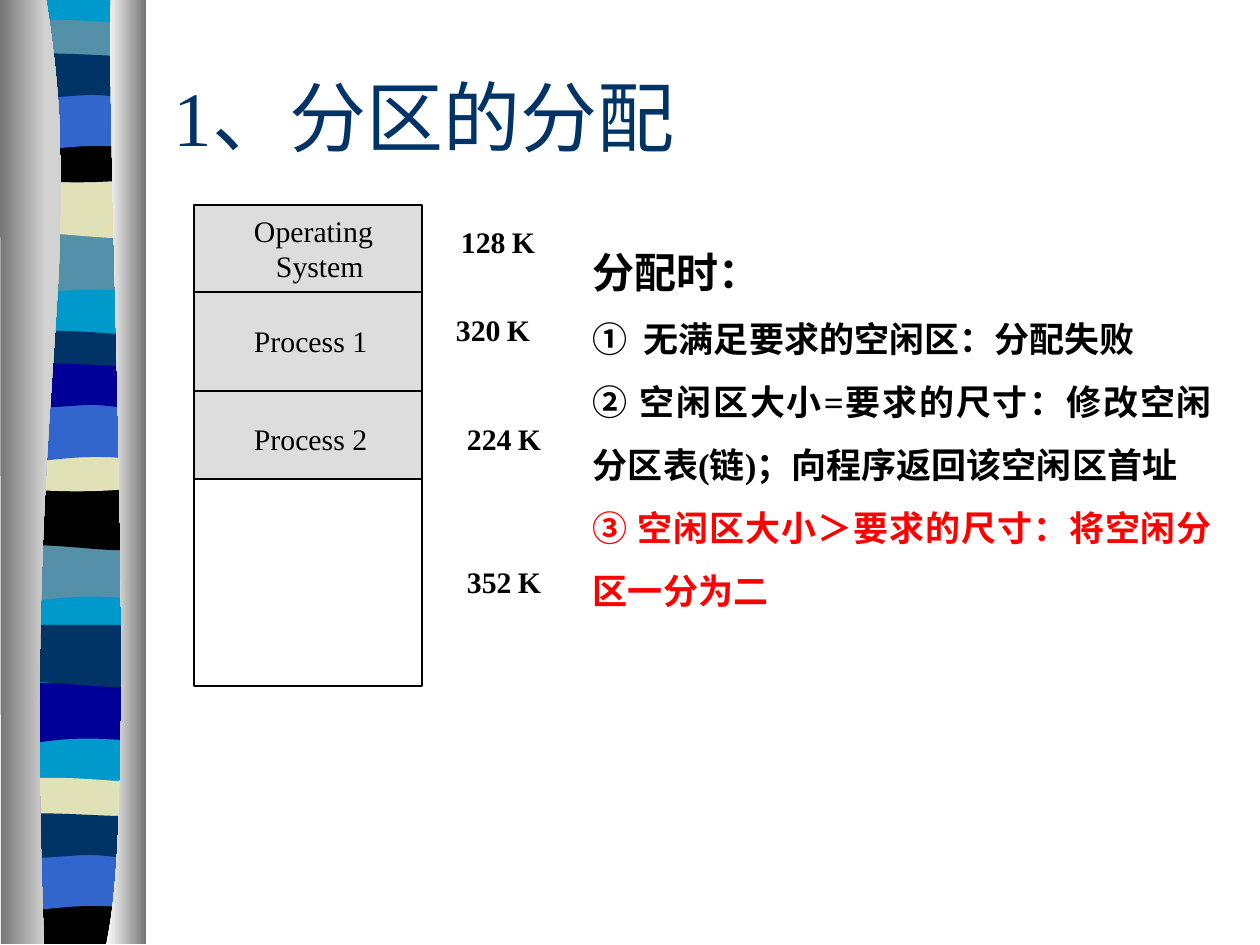
import pptx
import pptx.util
import pptx.dml.color
import pptx.enum.shapes
import pptx.enum.text
import pptx.oxml

RGBColor = pptx.dml.color.RGBColor
BLACK = RGBColor(0x00, 0x00, 0x00)
WHITE = RGBColor(0xFF, 0xFF, 0xFF)
RED = RGBColor(0xFF, 0x00, 0x00)
NAVY = RGBColor(0x00, 0x33, 0x66)
INDIGO = RGBColor(0x00, 0x00, 0x99)
BLUE = RGBColor(0x33, 0x66, 0xCC)
CYAN = RGBColor(0x00, 0x99, 0xCC)
TEAL = RGBColor(0x54, 0x90, 0xA8)
CREAM = RGBColor(0xE1, 0xE1, 0xB7)
DARK_GRAY = RGBColor(0x76, 0x76, 0x76)
MID_GRAY = RGBColor(0xD2, 0xD2, 0xD2)
LIGHT_GRAY = RGBColor(0xDD, 0xDD, 0xDD)

SCALE = 914400 / 126
FONT = "Times New Roman"

OUTLINES = {
    "base": [(134, 0), (134, 942), (0, 942), (0, 0)],
    "swell": [(134, 0), (134, 59), (42, 48, 23, 68, 0, 59), (0, 0)],
    "sag": [(134, 0), (134, 59), (112, 69, 42, 52, 0, 59), (0, 0)],
    "lens": [(134, 6), (134, 38), (112, 43, 24, 43, 0, 38), (0, 6),
             (8, 0, 30, 1, 52, 1), (75, 1, 118, 5, 134, 6)],
    "bowl": [(134, 0), (134, 41), (112, 48, 24, 48, 0, 41), (0, 0),
             (83, 6, 106, 0, 134, 0)],
    "arch": [(134, 0), (134, 59), (113, 53, 105, 53, 83, 53),
             (60, 53, 21, 59, 0, 59), (0, 0)],
    "ripple": [(134, 6), (134, 45), (125, 52, 105, 45, 83, 45),
               (60, 45, 14, 52, 0, 45), (0, 6), (19, 0, 91, 6, 113, 6)],
    "foot": [(134, 0), (134, 47), (0, 47), (0, 0), (83, 6, 106, 0, 134, 0)],
    "left curtain": [(46, -1), (90, 272, 22, 373, 44, 944), (1, 944), (0, -1)],
    "right curtain": [(111, -1), (106, 158, 140, 814, 106, 944), (146, 944), (146, 0)],
}
BANDS = [
    ("base", 10, -1, CYAN),
    ("swell", 9, 234, TEAL), ("sag", 10, 176, CREAM), ("lens", 10, 19, TEAL),
    ("bowl", 9, 136, BLACK), ("arch", 10, 93, BLUE), ("ripple", 10, 50, NAVY),
    ("swell", 8, 541, TEAL), ("sag", 9, 488, BLACK), ("lens", 9, 330, NAVY),
    ("bowl", 9, 445, CREAM), ("arch", 9, 404, BLUE), ("ripple", 9, 360, INDIGO),
    ("swell", 6, 683, INDIGO), ("sag", 8, 625, NAVY), ("lens", 8, 777, CREAM),
    ("foot", 7, 897, BLACK), ("arch", 6, 853, BLUE), ("ripple", 7, 810, NAVY),
]
CURTAINS = [("left curtain", DARK_GRAY, MID_GRAY), ("right curtain", WHITE, DARK_GRAY)]

MEMORY_LEFT, MEMORY_RIGHT = 194, 422
MEMORY_TOP, MEMORY_BOTTOM = 205, 686
DIVIDERS = [292, 391, 479]
PARTITIONS = [
    ("Operating", 254, 213, 120), ("System", 276, 248, 88),
    ("Process 1", 254, 323, 114), ("Process 2", 254, 421, 114),
]
SIZES = [("128", 461, 224), ("320", 456, 312), ("224", 467, 421), ("352", 467, 564)]
UNIT, UNIT_OFFSET, UNIT_WIDTH = "K", 51, 24
TITLE = "1、分区的分配"
RULES = [
    ("分配时：", 24, BLACK),
    ("①  无满足要求的空闲区：分配失败", 20, BLACK),
    ("② 空闲区大小=要求的尺寸：修改空闲分区表(链)；向程序返回该空闲区首址", 20, BLACK),
    ("③ 空闲区大小＞要求的尺寸：将空闲分区一分为二", 20, RED),
]


def px(length):
    return pptx.util.Emu(round(length * SCALE))


def bend(line, controls):
    line.tag = pptx.oxml.ns.qn("a:cubicBezTo")
    for i, (x, y) in enumerate(controls):
        point = line.makeelement(pptx.oxml.ns.qn("a:pt"), {"x": str(x), "y": str(y)})
        line.insert(i, point)


def add_outline(page, name, left=0, top=0):
    steps = OUTLINES[name]
    ends = [step[-2:] for step in steps]
    builder = page.shapes.build_freeform(left + ends[0][0], top + ends[0][1], scale=SCALE)
    builder.add_line_segments([(left + x, top + y) for x, y in ends[1:]], close=True)
    shape = builder.convert_to_shape()
    min_x, min_y = min(x for x, y in ends), min(y for x, y in ends)
    lines = list(shape.element.iter(pptx.oxml.ns.qn("a:lnTo")))
    for line, step in zip(lines, steps[1:]):
        if len(step) == 6:
            x1, y1, x2, y2 = step[:4]
            bend(line, [(x1 - min_x, y1 - min_y), (x2 - min_x, y2 - min_y)])
    shape.shadow.inherit = False
    shape.line.fill.background()
    return shape


def add_rectangle(page, left, top, width, height):
    shape = page.shapes.add_shape(pptx.enum.shapes.MSO_SHAPE.RECTANGLE,
                                  px(left), px(top), px(width), px(height))
    shape.shadow.inherit = False
    return shape


def add_divider(page, y):
    line = page.shapes.add_connector(pptx.enum.shapes.MSO_CONNECTOR.STRAIGHT,
                                     px(MEMORY_LEFT), px(y), px(MEMORY_RIGHT), px(y))
    line.line.color.rgb = BLACK
    line.line.width = pptx.util.Pt(1)
    properties = line.element.spPr
    properties.append(properties.makeelement(pptx.oxml.ns.qn("a:effectLst"), {}))


def add_box(page, left, top, width, height, wrap=True, inset=(13, 6)):
    box = page.shapes.add_textbox(px(left), px(top), px(width), px(height))
    frame = box.text_frame
    frame.word_wrap = wrap
    frame.margin_left = frame.margin_right = px(inset[0])
    frame.margin_top = frame.margin_bottom = px(inset[1])
    return frame


def write(para, text, size=17, color=BLACK, bold=False, align=None, spacing=None):
    para.alignment = align
    para.line_spacing = spacing
    span = para.add_run()
    span.text = text
    span.font.name = FONT
    span.font.size = pptx.util.Pt(size)
    span.font.bold = bold
    span.font.color.rgb = color


def add_label(page, text, left, top, width, bold=False):
    frame = add_box(page, left, top, width, 35, wrap=False, inset=(0, 0))
    write(frame.paragraphs[0], text, bold=bold)


def main():
    deck = pptx.Presentation()
    deck.slide_width, deck.slide_height = px(1260), px(945)
    page = deck.slides.add_slide(deck.slide_layouts[6])

    for name, left, top, color in BANDS:
        band = add_outline(page, name, left, top)
        band.fill.solid()
        band.fill.fore_color.rgb = color
    for name, *colors in CURTAINS:
        curtain = add_outline(page, name)
        curtain.fill.gradient()
        curtain.fill.gradient_angle = 0
        for stop, color in zip(curtain.fill.gradient_stops, colors):
            stop.color.rgb = color

    width = MEMORY_RIGHT - MEMORY_LEFT
    used = add_rectangle(page, MEMORY_LEFT, MEMORY_TOP, width, DIVIDERS[-1] - MEMORY_TOP)
    used.fill.solid()
    used.fill.fore_color.rgb = LIGHT_GRAY
    used.line.fill.background()
    memory = add_rectangle(page, MEMORY_LEFT, MEMORY_TOP, width, MEMORY_BOTTOM - MEMORY_TOP)
    memory.fill.background()
    memory.line.color.rgb = BLACK
    memory.line.width = pptx.util.Pt(1)
    for y in DIVIDERS:
        add_divider(page, y)

    for text, left, top, label_width in PARTITIONS:
        add_label(page, text, left, top, label_width)
    for text, left, top in SIZES:
        add_label(page, text, left, top, UNIT_OFFSET, bold=True)
        add_label(page, UNIT, left + UNIT_OFFSET, top, UNIT_WIDTH, bold=True)

    frame = add_box(page, 580, 215, 645, 403)
    for i, (text, size, color) in enumerate(RULES):
        para = frame.add_paragraph() if i else frame.paragraphs[0]
        write(para, text, size=size, color=color, bold=True,
              align=pptx.enum.text.PP_ALIGN.JUSTIFY, spacing=1.5)
    title = add_box(page, 161, 64, 1071, 147)
    write(title.paragraphs[0], TITLE, size=44, color=NAVY)

    deck.save("out.pptx")


if __name__ == "__main__":
    main()
